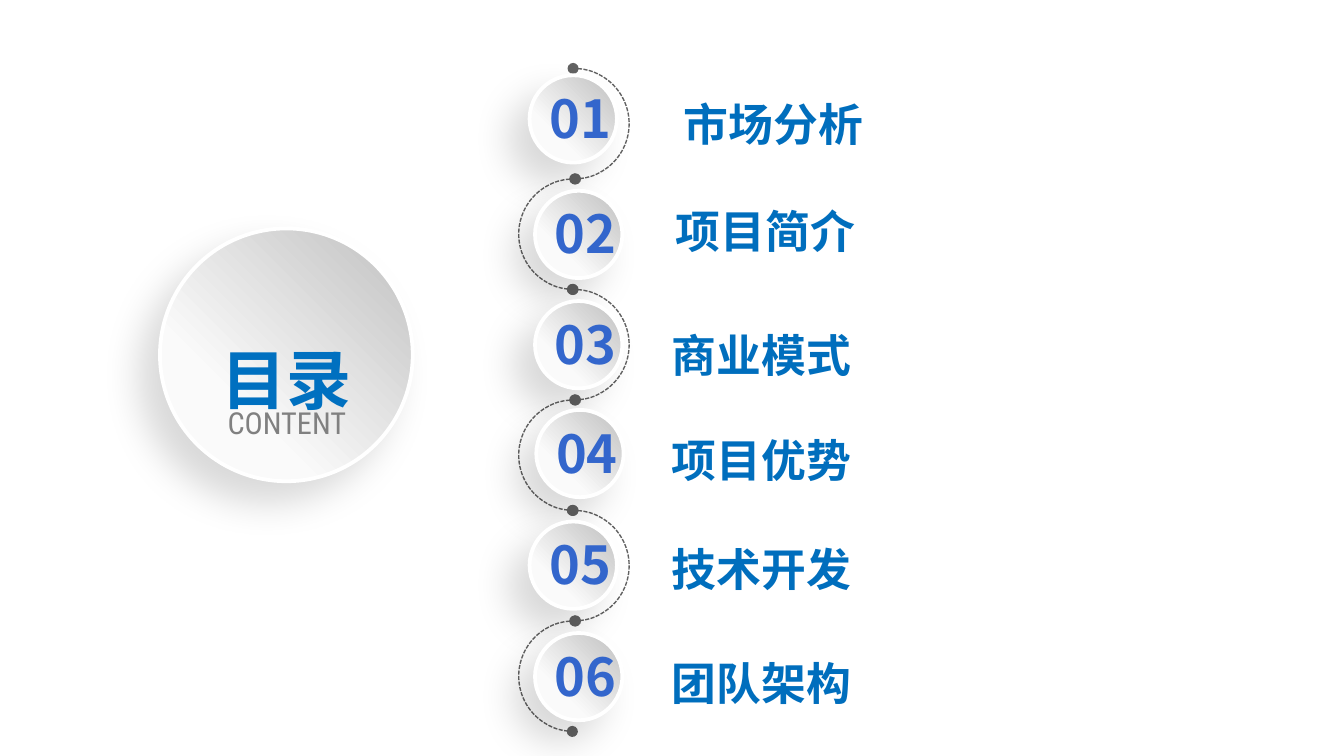
from lxml import etree
from pptx import Presentation
from pptx.dml.color import RGBColor
from pptx.enum.dml import MSO_LINE
from pptx.enum.shapes import MSO_SHAPE
from pptx.enum.text import MSO_ANCHOR, MSO_AUTO_SIZE, PP_ALIGN
from pptx.oxml import parse_xml
from pptx.oxml.ns import qn
from pptx.util import Pt

OVAL, ARC = MSO_SHAPE.OVAL, MSO_SHAPE.ARC
TOP, MIDDLE = MSO_ANCHOR.TOP, MSO_ANCHOR.MIDDLE
LEFT, CENTER = PP_ALIGN.LEFT, PP_ALIGN.CENTER
FIT_SHAPE = MSO_AUTO_SIZE.SHAPE_TO_FIT_TEXT
DASH = MSO_LINE.SQUARE_DOT

WHITE = RGBColor(0xFF, 0xFF, 0xFF)
SILVER = RGBColor(0xBF, 0xBF, 0xBF)
PALE = RGBColor(0xFA, 0xFA, 0xFA)
GRAY = RGBColor(0x80, 0x80, 0x80)
DARK_GRAY = RGBColor(0x62, 0x62, 0x62)
TITLE_BLUE = RGBColor(0x00, 0x70, 0xC0)
LABEL_BLUE = RGBColor(0x00, 0x6E, 0xBD)
NUMBER_BLUE = RGBColor(0x33, 0x66, 0xCC)

CJK_FONT = "Noto Sans CJK SC"
LATIN_FONT = "Roboto Condensed"

SHADOW = (
    '<a:outerShdw xmlns:a="http://schemas.openxmlformats.org/drawingml/2006/main"'
    ' blurRad="254000" dist="190500" dir="8100000" algn="tr" rotWithShape="0">'
    '<a:srgbClr val="000000"><a:alpha val="15000"/></a:srgbClr></a:outerShdw>'
)

presentation = Presentation()
presentation.slide_width, presentation.slide_height = Pt(720), Pt(405)
slide = presentation.slides.add_slide(presentation.slide_layouts[5])
shapes = slide.shapes


def add_disc(left, top, size):
    """Add a white-rimmed disc with a soft shadow to the lower left."""
    disc = shapes.add_shape(OVAL, Pt(left), Pt(top), Pt(size), Pt(size))
    disc.fill.gradient()
    disc.fill.gradient_angle = 225
    dark, light = disc.fill.gradient_stops
    dark.color.rgb, dark.position = SILVER, 0
    light.color.rgb, light.position = PALE, 0.7
    disc.line.color.rgb = WHITE
    disc.line.width = Pt(2)
    disc.shadow.inherit = False
    disc._element.spPr.find(qn("a:effectLst")).append(parse_xml(SHADOW))


def write_text(text, left, top, width, height, size, color, font=CJK_FONT, bold=True,
               align=CENTER, anchor=MIDDLE, spacing=None, baseline=None, box=None):
    """Write one line into a given placeholder or a new text box."""
    box = box or shapes.add_textbox(0, 0, 0, 0)
    box.left, box.top, box.width, box.height = Pt(left), Pt(top), Pt(width), Pt(height)
    frame = box.text_frame
    frame.word_wrap = False
    frame.auto_size = FIT_SHAPE
    frame.vertical_anchor = anchor
    paragraph = frame.paragraphs[0]
    paragraph.alignment = align
    paragraph.line_spacing = spacing
    run = paragraph.add_run()
    run.text = text
    run.font.size = Pt(size)
    run.font.bold = bold
    run.font.color.rgb = color
    run.font.name = font
    properties = run._r.get_or_add_rPr()
    etree.SubElement(properties, qn("a:ea")).set("typeface", font)
    if baseline:
        properties.set("baseline", str(baseline))


# Title disc, with the title placeholder brought in front of it
add_disc(85.7, 122.4, 135.4)
title = shapes.title
shapes._spTree.append(title._element)
write_text("目录", 105.8, 146.2, 95, 71.3, 60, TITLE_BLUE,
           spacing=1.5, baseline=12000, box=title)
write_text("CONTENT", 113, 198, 81.4, 36.7, 28, GRAY, font=LATIN_FONT,
           bold=False, spacing=1.5, baseline=12000)

# Winding dashed path: half circles that alternate right and left
ARC_SIZE = 59.2
for index in range(6):
    arc = shapes.add_shape(ARC, Pt(277.9), Pt(36.7 + index * ARC_SIZE),
                           Pt(ARC_SIZE), Pt(ARC_SIZE))
    arc.adjustments[0] = 161.5
    arc.adjustments[1] = 53
    if index % 2:
        arc._element.spPr.find(qn("a:xfrm")).set("flipH", "1")
    arc.fill.background()
    arc.shadow.inherit = False
    arc.line.color.rgb = DARK_GRAY
    arc.line.width = Pt(0.75)
    arc.line.dash_style = DASH
    line = arc._element.spPr.find(qn("a:ln"))
    for end in ("a:headEnd", "a:tailEnd"):
        etree.SubElement(line, qn(end)).set("type", "oval")

# Contents: label, disc left and top, label left and top
entries = [
    ("市场分析", 283.7, 40.3, 359.3, 48.2),
    ("项目简介", 286.6, 102.2, 355, 105.8),
    ("商业模式", 286.6, 161.3, 352.8, 172.1),
    ("项目优势", 287.3, 219.6, 352.8, 228.2),
    ("技术开发", 283.7, 279.4, 352.8, 286.6),
    ("团队架构", 286.6, 339.1, 352.8, 347.8),
]
for number, (label, disc_left, disc_top, label_left, label_top) in enumerate(entries, 1):
    add_disc(disc_left, disc_top, 46.8)
    write_text(f"{number:02}", disc_left + 2.2, disc_top + 2.2, 49.7, 41, 28, NUMBER_BLUE)
    write_text(label, label_left, label_top, 110.2, 38.2, 24, LABEL_BLUE,
               align=LEFT, anchor=TOP)

presentation.save("out.pptx")
